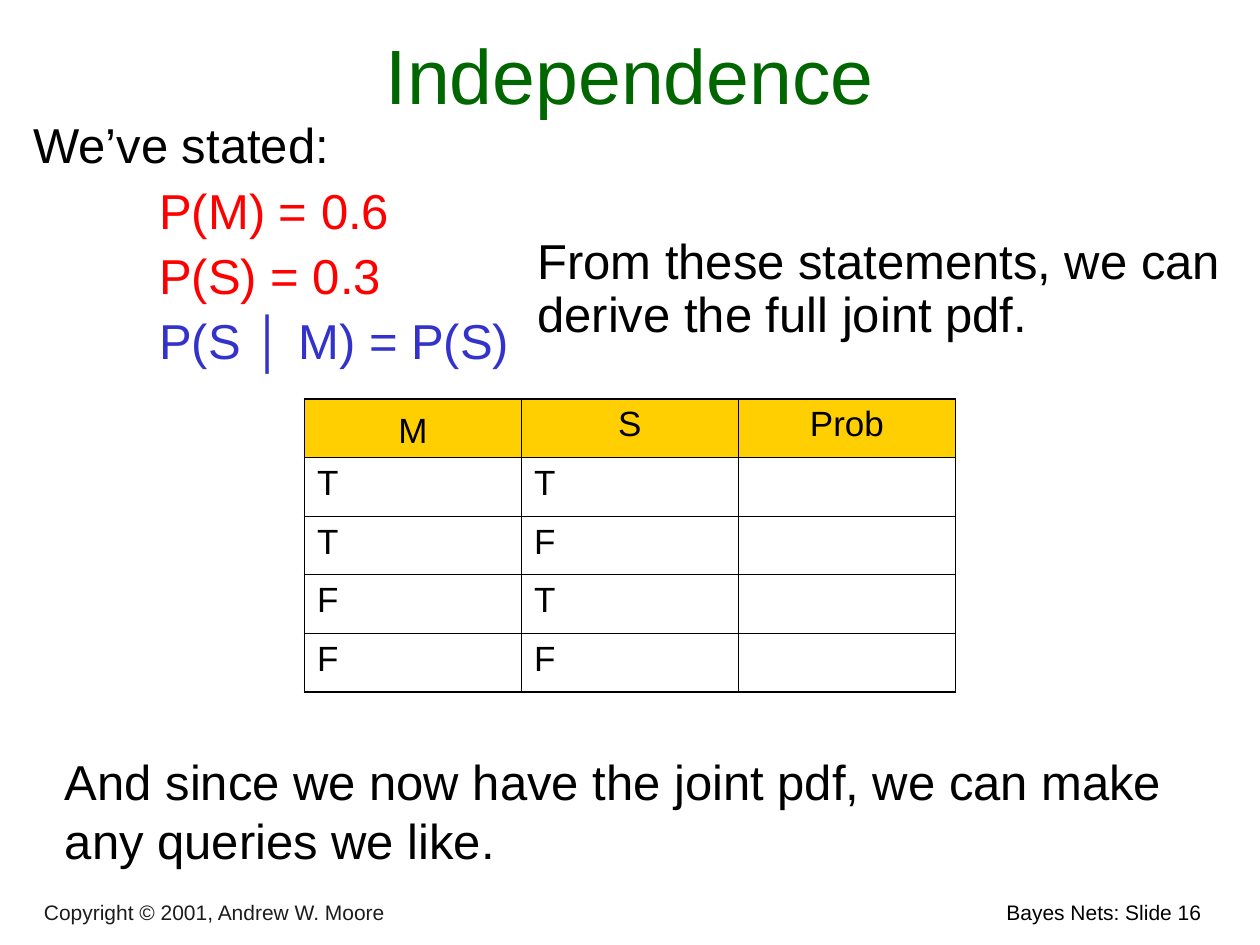
"""Build the Independence slide: stated probabilities, joint table and conclusion."""
import lxml.etree
import pptx
import pptx.dml.color
import pptx.enum.text
import pptx.oxml.ns
import pptx.util

ALIGN = pptx.enum.text.PP_ALIGN
ANCHOR = pptx.enum.text.MSO_ANCHOR
COLS, ROWS = 120, 90
THEME = {
    "font": "Arial",
    "title": "006600", "text": "000000", "given": "FF0000", "rule": "3333CC",
    "credit": "1C1C1C", "header": "FFCF01", "border": "000000",
    "title_pt": 44, "body_pt": 28, "table_pt": 20, "footer_pt": 12,
    "outer_pt": 1.08, "inner_pt": 0.45, "gap_pt": 7,
}

TEXTS = [
    {"box": (68.6, 85.1, 47, 3.6), "size": "footer_pt", "align": ALIGN.RIGHT,
     "lines": [("Bayes Nets: Slide 16", "text", 0)]},
    {"box": (3, 85.3, 66.6, 3.4), "size": "footer_pt", "anchor": ANCHOR.BOTTOM,
     "lines": [("Copyright © 2001, Andrew W. Moore", "credit", 0)]},
    {"box": (1, 2, 118, 10), "size": "title_pt", "align": ALIGN.CENTER, "anchor": ANCHOR.BOTTOM,
     "lines": [("Independence", "title", 0)]},
    {"box": (2, 11, 49, 37), "size": "body_pt", "spacing": 0.9,
     "lines": [("We’ve stated:", "text", 0),
               ("P(M) = 0.6", "given", 12),
               ("P(S) = 0.3", "given", 12),
               ("P(S │ M) = P(S)", "rule", 12)]},
    {"box": (5, 71, 111, 12.5), "size": "body_pt",
     "lines": [("And since we now have the joint pdf, we can make any queries we like.", "text", 0)]},
    {"box": (50, 22, 68, 15), "size": "body_pt", "spacing": 0.9,
     "lines": [("From these statements, we can derive the full joint pdf.", "text", 0)]},
]

TABLE_BOX = (29, 38, 62, 27.9)
TABLE = [
    ("M", "S", "Prob"),
    ("T", "T", ""),
    ("T", "F", ""),
    ("F", "T", ""),
    ("F", "F", ""),
]


def rgb(name):
    return pptx.dml.color.RGBColor.from_string(THEME[name])


def place(prs, box):
    x, y, w, h = box
    col, row = prs.slide_width / COLS, prs.slide_height / ROWS
    return [round(v) for v in (x * col, y * row, w * col, h * row)]


def add_run(p, text, size, color):
    r = p.add_run()
    r.text = text
    r.font.name = THEME["font"]
    r.font.size = pptx.util.Pt(THEME[size])
    r.font.color.rgb = rgb(color)


def add_text(prs, s, item):
    tf = s.shapes.add_textbox(*place(prs, item["box"])).text_frame
    tf.word_wrap = True
    tf.vertical_anchor = item.get("anchor", ANCHOR.TOP)
    for i, (text, color, indent) in enumerate(item["lines"]):
        p = tf.add_paragraph() if i else tf.paragraphs[0]
        p.alignment = item.get("align", ALIGN.LEFT)
        p.line_spacing = item.get("spacing", 1.0)
        if i:
            p.space_before = pptx.util.Pt(THEME["gap_pt"])
        if indent:
            p._p.get_or_add_pPr().set("marL", str(round(indent * prs.slide_width / COLS)))
        add_run(p, text, item["size"], color)


def add_borders(cell, outer_sides):
    tcPr = cell._tc.get_or_add_tcPr()
    qn = pptx.oxml.ns.qn
    for side, outer in zip("LRTB", outer_sides):
        width = pptx.util.Pt(THEME["outer_pt" if outer else "inner_pt"])
        ln = lxml.etree.SubElement(tcPr, qn("a:ln" + side), w=str(width))
        fill = lxml.etree.SubElement(ln, qn("a:solidFill"))
        lxml.etree.SubElement(fill, qn("a:srgbClr"), val=THEME["border"])


def add_table(prs, s):
    n_rows, n_cols = len(TABLE), len(TABLE[0])
    x, y, w, h = place(prs, TABLE_BOX)
    table = s.shapes.add_table(n_rows, n_cols, x, y, w, h).table
    for column in table.columns:
        column.width = w // n_cols
    for i, row in enumerate(TABLE):
        table.rows[i].height = h // n_rows
        for j, text in enumerate(row):
            cell = table.cell(i, j)
            add_borders(cell, (j == 0, j == n_cols - 1, i == 0, i == n_rows - 1))
            p = cell.text_frame.paragraphs[0]
            if i == 0:
                cell.fill.solid()
                cell.fill.fore_color.rgb = rgb("header")
                p.alignment = ALIGN.CENTER
            else:
                cell.fill.background()
            if text:
                add_run(p, text, "table_pt", "text")
    table.cell(0, 0).vertical_anchor = ANCHOR.BOTTOM


def main():
    prs = pptx.Presentation()
    prs.slide_width = pptx.util.Inches(10)
    prs.slide_height = pptx.util.Inches(7.5)
    s = prs.slides.add_slide(prs.slide_layouts[6])
    for item in TEXTS:
        add_text(prs, s, item)
    add_table(prs, s)
    prs.save("out.pptx")


if __name__ == "__main__":
    main()
